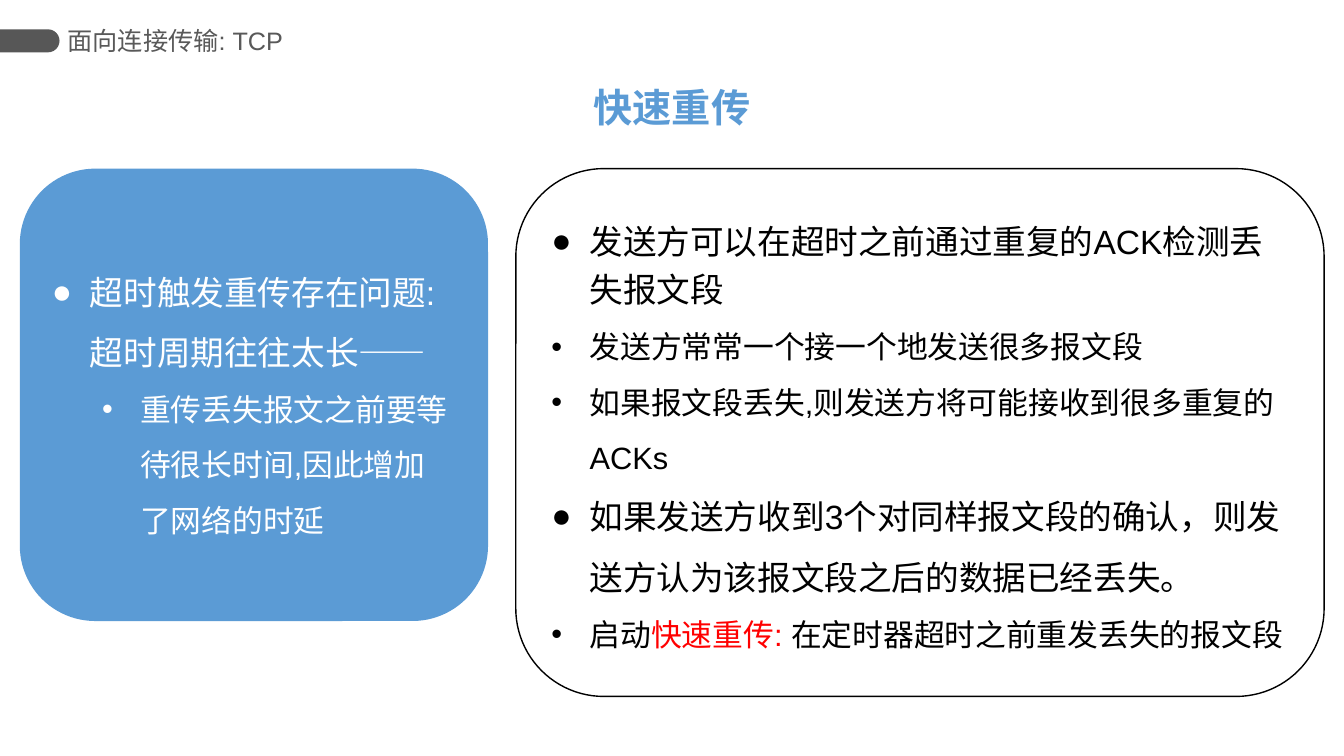
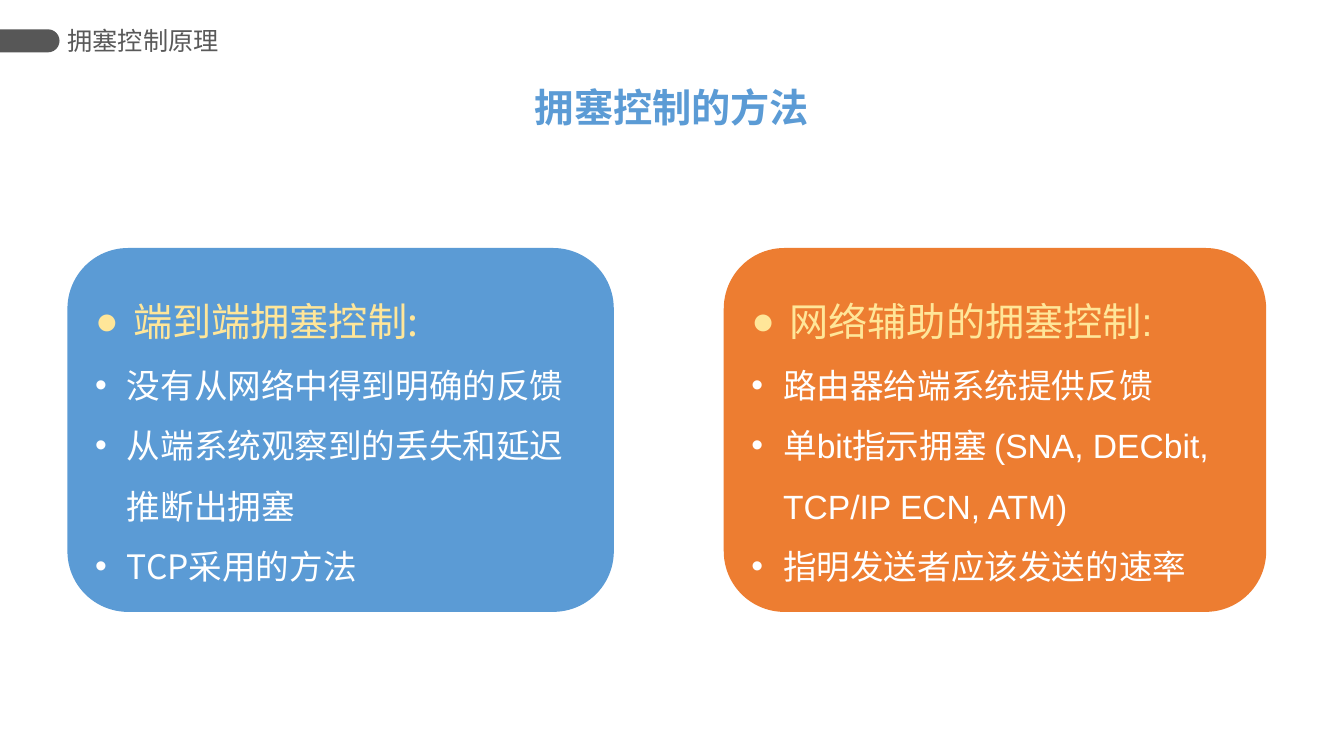
from dataclasses import dataclass

from lxml import etree
from pptx import Presentation
from pptx.dml.color import RGBColor
from pptx.enum import shapes, text
from pptx.oxml import ns
from pptx.util import Cm, Pt


@dataclass(frozen=True)
class Theme:
    blue: str = "5B9BD5"
    orange: str = "ED7D31"
    yellow: str = "FFE699"
    red: str = "FF0000"
    black: str = "000000"
    white: str = "FFFFFF"
    label: str = "595959"
    band: str = "575757"
    latin: str = "Arial"
    cjk: str = "Noto Sans CJK SC"
    title_size: int = 28
    point_size: int = 24
    detail_size: int = 22
    label_size: int = 18


T = Theme()
WIDTH, HEIGHT = 33.87, 19.05
HANG = 0.96
SMALL_HANG = 0.8


@dataclass(frozen=True)
class Run:
    text: str
    size: int
    color: str
    font: str = T.latin
    bold: bool = False


@dataclass(frozen=True)
class Bullet:
    runs: tuple[Run, ...]
    mark: str = "•"
    margin: float = HANG
    hang: float = HANG
    spacing: float = 1.5
    level: int = 0


@dataclass(frozen=True)
class Card:
    left: float
    top: float
    width: float
    height: float
    bullets: tuple[Bullet, ...]
    fill: str | None = None


@dataclass(frozen=True)
class Page:
    label: str
    title: str
    title_width: float
    cards: tuple[Card, ...]


def rgb(color: str) -> RGBColor:
    return RGBColor.from_string(color)


def add_run(p, run: Run) -> None:
    r = p.add_run()
    r.text = run.text
    font = r.font
    font.name, font.size, font.bold = run.font, Pt(run.size), run.bold
    font.color.rgb = rgb(run.color)
    east_asian = etree.SubElement(r._r.get_or_add_rPr(), ns.qn("a:ea"))
    east_asian.set("typeface", T.cjk)


def add_bullet(p, bullet: Bullet) -> None:
    ppr = p._p.get_or_add_pPr()
    ppr.set("marL", str(Cm(bullet.margin)))
    ppr.set("indent", str(-Cm(bullet.hang)))
    etree.SubElement(ppr, ns.qn("a:buFont")).set("typeface", T.latin)
    etree.SubElement(ppr, ns.qn("a:buChar")).set("char", bullet.mark)
    p.level = bullet.level
    p.alignment = text.PP_ALIGN.LEFT
    p.line_spacing = bullet.spacing
    for run in bullet.runs:
        add_run(p, run)


def add_card(s, card: Card) -> None:
    sp = s.shapes.add_shape(
        shapes.MSO_SHAPE.ROUNDED_RECTANGLE,
        Cm(card.left), Cm(card.top), Cm(card.width), Cm(card.height))
    sp.shadow.inherit = False
    if card.fill:
        sp.fill.solid()
        sp.fill.fore_color.rgb = rgb(card.fill)
        sp.line.fill.background()
    else:
        sp.fill.background()
        sp.line.color.rgb = rgb(T.black)
        sp.line.width = Pt(1)
    tf = sp.text_frame
    tf.word_wrap = True
    tf.vertical_anchor = text.MSO_ANCHOR.MIDDLE
    for i, bullet in enumerate(card.bullets):
        add_bullet(tf.add_paragraph() if i else tf.paragraphs[0], bullet)


def add_band(s) -> None:
    # A tab with two round corners, turned so that they face right
    length, thick, top = 1.5, 0.58, 0.74
    sp = s.shapes.add_shape(
        shapes.MSO_SHAPE.ROUND_2_SAME_RECTANGLE,
        Cm((length - thick) / 2), Cm(top - (length - thick) / 2),
        Cm(thick), Cm(length))
    sp.rotation = 90
    sp.adjustments[0] = 0.5
    sp.shadow.inherit = False
    sp.fill.solid()
    sp.fill.fore_color.rgb = rgb(T.band)
    sp.line.fill.background()


def add_label(s, label: str) -> None:
    sp = s.shapes.add_textbox(Cm(1.7), Cm(0.48), Cm(5.92), Cm(1.07))
    tf = sp.text_frame
    tf.word_wrap = True
    tf.margin_left = tf.margin_right = 0
    tf.vertical_anchor = text.MSO_ANCHOR.MIDDLE
    add_run(tf.paragraphs[0], Run(label, T.label_size, T.label))


def set_title(s, title: str, width: float) -> None:
    sp = s.shapes.title
    sp.left, sp.top = Cm((WIDTH - width) / 2), Cm(1.98)
    sp.width, sp.height = Cm(width), Cm(1.45)
    tf = sp.text_frame
    tf.word_wrap = False
    tf.auto_size = text.MSO_AUTO_SIZE.SHAPE_TO_FIT_TEXT
    tf.vertical_anchor = text.MSO_ANCHOR.TOP
    p = tf.paragraphs[0]
    p.alignment = text.PP_ALIGN.CENTER
    p.line_spacing = 1.0
    add_run(p, Run(title, T.title_size, T.blue, bold=True))


def add_page(prs, page: Page) -> None:
    s = prs.slides.add_slide(prs.slide_layouts[5])
    set_title(s, page.title, page.title_width)
    add_band(s)
    add_label(s, page.label)
    for card in page.cards:
        add_card(s, card)


# Bullet styles
def point(words: str, color: str, spacing: float = 1.5) -> Bullet:
    return Bullet((Run(words, T.point_size, color),), "●", spacing=spacing)


def detail(words: str, color: str, margin: float = HANG, level: int = 0) -> Bullet:
    return Bullet((Run(words, T.detail_size, color),), margin=margin, level=level)


def method(heading: str, items: tuple[str, ...], font: str) -> tuple[Bullet, ...]:
    head = Bullet((Run(heading, T.title_size, T.yellow, font),), "●")
    return (head,) + tuple(
        Bullet((Run(item, T.point_size, T.white, font),),
               margin=SMALL_HANG, hang=SMALL_HANG)
        for item in items)


# Slide contents
RETRANSMIT = Page("面向连接传输: TCP", "快速重传", 4.5, (
    Card(13.0, 4.25, 20.37, 13.3, (
        point("发送方可以在超时之前通过重复的ACK检测丢失报文段", T.black, 1.2),
        detail("发送方常常一个接一个地发送很多报文段", T.black),
        detail("如果报文段丢失,则发送方将可能接收到很多重复的 ACKs", T.black),
        point("如果发送方收到3个对同样报文段的确认，则发送方认为该报文段之后的数据已经丢失。",
              T.black),
        Bullet((Run("启动", T.detail_size, T.black),
                Run("快速重传: ", T.detail_size, T.red),
                Run("在定时器超时之前重发丢失的报文段", T.detail_size, T.black))),
    )),
    Card(0.5, 4.25, 11.8, 11.4, (
        point("超时触发重传存在问题:超时周期往往太长——", T.white),
        detail("重传丢失报文之前要等待很长时间,因此增加了网络的时延", T.white,
               margin=2.23, level=1),
    ), T.blue),
))

CONGESTION = Page("拥塞控制原理", "拥塞控制的方法", 7.5, (
    Card(1.7, 6.25, 13.77, 9.17, method("端到端拥塞控制:", (
        "没有从网络中得到明确的反馈",
        "从端系统观察到的丢失和延迟推断出拥塞",
        "TCP采用的方法",
    ), T.cjk), T.blue),
    Card(18.24, 6.25, 13.67, 9.17, method("网络辅助的拥塞控制:", (
        "路由器给端系统提供反馈",
        "单bit指示拥塞 (SNA, DECbit, TCP/IP ECN, ATM)",
        "指明发送者应该发送的速率",
    ), T.latin), T.orange),
))


def main() -> None:
    prs = Presentation()
    prs.slide_width, prs.slide_height = Cm(WIDTH), Cm(HEIGHT)
    for page in (RETRANSMIT, CONGESTION):
        add_page(prs, page)
    prs.save("out.pptx")


if __name__ == "__main__":
    main()
